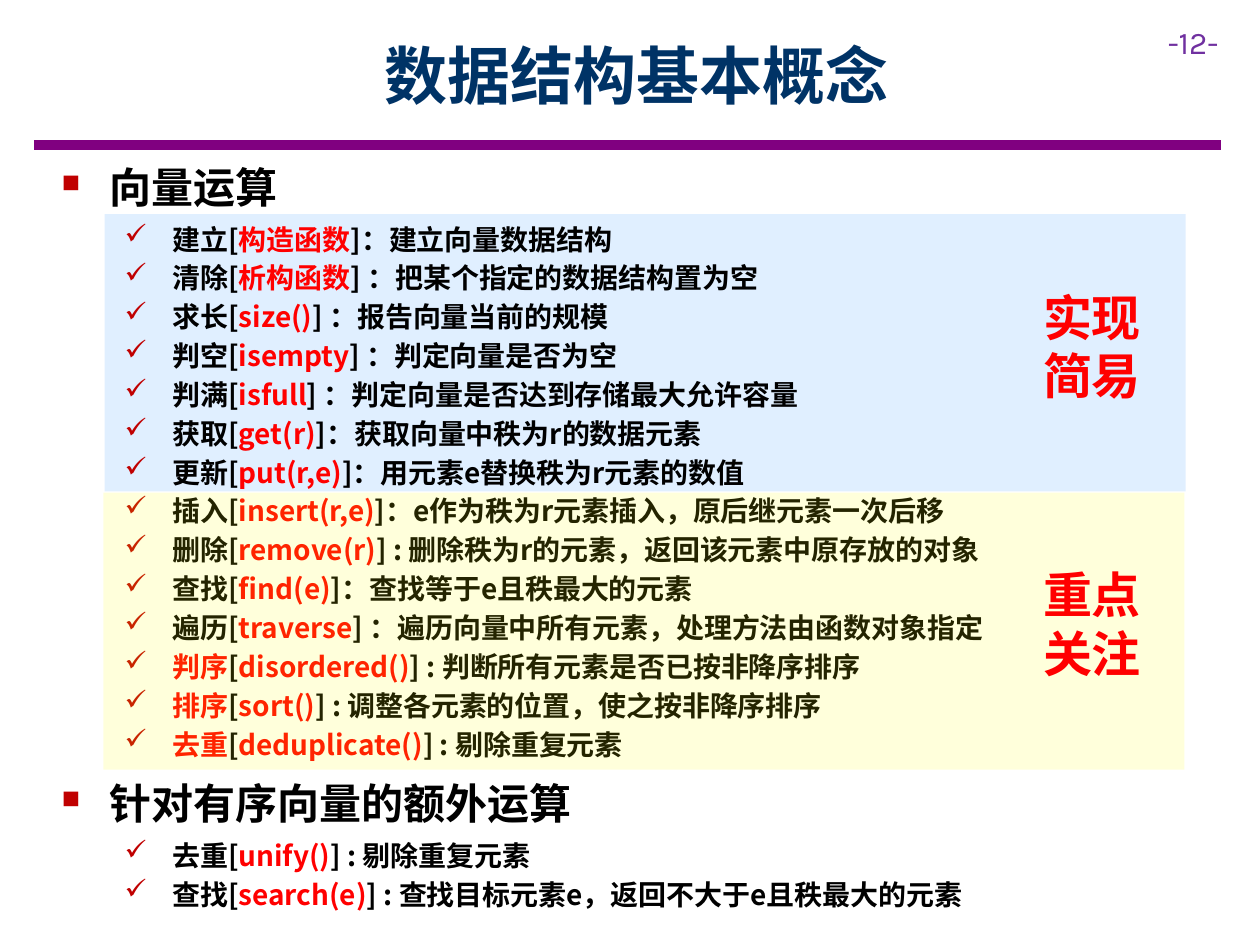
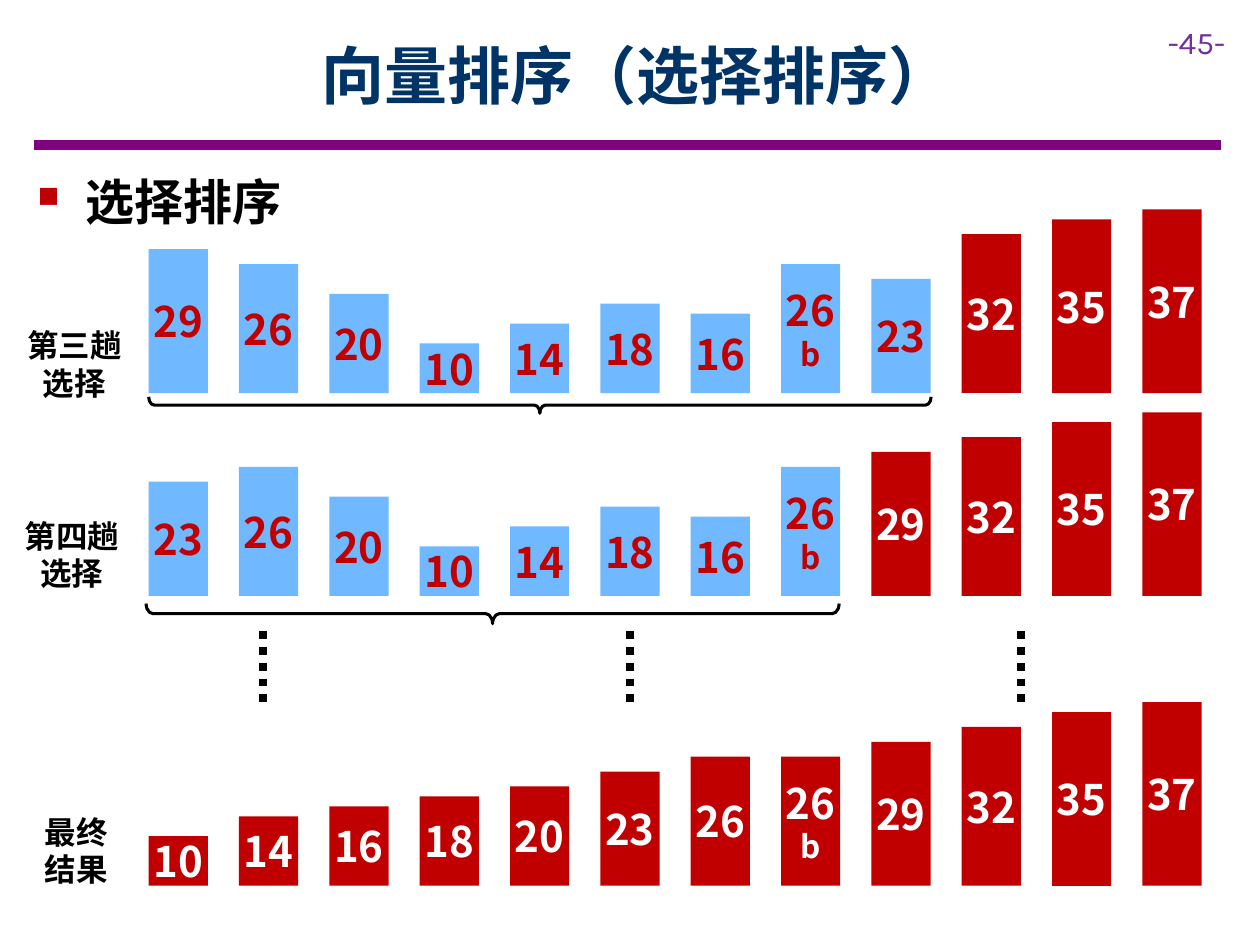
from lxml import etree
from pptx import Presentation
from pptx import util as u
from pptx.dml.color import RGBColor
from pptx.enum import dml, shapes, text
from pptx.oxml.ns import qn

# Shared look
WIDTH, HEIGHT = 10, 7.5
SANS, NUMBER_FONT = "Noto Sans CJK SC", "Karla"
BLACK, WHITE, RED, CRIMSON = "000000", "FFFFFF", "FF0000", "C00000"
NAVY, PURPLE, VIOLET, SKY = "003366", "800080", "7030A0", "70B8FF"
LINE_HEIGHT = 1.2

# Bar grid: one column per value, height in proportion to the value
FIRST_COLUMN, COLUMN_PITCH, BAR_WIDTH = 1.18, 0.717, 0.47
UNIT_HEIGHT = 0.0394

EASY_OPERATIONS = [
    ("建立[", "构造函数", "]：建立向量数据结构"),
    ("清除[", "析构函数", "] ：把某个指定的数据结构置为空"),
    ("求长[", "size()", "] ：报告向量当前的规模"),
    ("判空[", "isempty", "] ：判定向量是否为空"),
    ("判满[", "isfull", "] ：判定向量是否达到存储最大允许容量"),
    ("获取[", "get(r)", "]：获取向量中秩为r的数据元素"),
    ("更新[", "put(r,e)", "]：用元素e替换秩为r元素的数值"),
]
KEY_OPERATIONS = [
    ("插入[", "insert(r,e)", "]：e作为秩为r元素插入，原后继元素一次后移"),
    ("删除[", "remove(r)", "] : 删除秩为r的元素，返回该元素中原存放的对象"),
    ("查找[", "find(e)", "]：查找等于e且秩最大的元素"),
    ("遍历[", "traverse", "] ：遍历向量中所有元素，处理方法由函数对象指定"),
    # An empty lead marks an operation whose name is red as well
    ("", "判序", "[", "disordered()", "] : 判断所有元素是否已按非降序排序"),
    ("", "排序", "[", "sort()", "] : 调整各元素的位置，使之按非降序排序"),
    ("", "去重", "[", "deduplicate()", "] : 剔除重复元素"),
]
SORTED_VECTOR_OPERATIONS = [
    ("去重[", "unify()", "] : 剔除重复元素"),
    ("查找[", "search(e)", "] : 查找目标元素e，返回不大于e且秩最大的元素"),
]

# Bars of each pass: values, number still unsorted, baseline
THIRD_PASS = ["29", "26", "20", "10", "14", "18", "16", "26b", "23", "32", "35", "37"]
FOURTH_PASS = ["23", "26", "20", "10", "14", "18", "16", "26b", "29", "32", "35", "37"]
RESULT = ["10", "14", "16", "18", "20", "23", "26", "26b", "29", "32", "35", "37"]
PASSES = [
    (THIRD_PASS, 9, 3.12),
    (FOURTH_PASS, 8, 4.73),
    (RESULT, 0, 7.03),
]


def rgb(value):
    return RGBColor.from_string(value)


def place(left, top, width, height):
    return [u.Inches(length) for length in (left, top, width, height)]


def style(para, size, color, font=SANS, bold=True, align=None):
    """Set the font and line height of a whole paragraph."""
    para.font.size = u.Pt(size)
    para.font.bold = bold
    para.font.color.rgb = rgb(color)
    para.font.name = font
    para.line_spacing = u.Pt(round(size * LINE_HEIGHT, 1))
    para.alignment = align
    defaults = para._p.pPr.find(qn("a:defRPr"))
    etree.SubElement(defaults, qn("a:ea"), typeface=font)


def add_bullet(para, char, percent, margin, after):
    """Hang a crimson bullet before the paragraph."""
    para.space_after = u.Pt(after)
    props = para._p.pPr
    props.set("marL", str(u.Inches(margin)))
    props.set("indent", str(u.Inches(-0.38)))
    color = etree.Element(qn("a:buClr"))
    etree.SubElement(color, qn("a:srgbClr"), val=CRIMSON)
    size = etree.Element(qn("a:buSzPct"), val=str(percent * 1000))
    mark = etree.Element(qn("a:buChar"), char=char)
    for item in (color, size, mark):
        props.find(qn("a:defRPr")).addprevious(item)


def write_lines(frame, lines, color, align=None):
    """Fill a frame with (words, size) lines."""
    for index, (words, size) in enumerate(lines):
        para = frame.paragraphs[0] if index == 0 else frame.add_paragraph()
        para.text = words
        style(para, size, color, align=align)


def add_text(page, at, lines, color, align=None, wrap=True):
    frame = page.shapes.add_textbox(*place(*at)).text_frame
    frame.word_wrap = wrap
    write_lines(frame, lines, color, align)
    return frame


def add_box(page, at, fill, opacity=100):
    box = page.shapes.add_shape(shapes.MSO_SHAPE.RECTANGLE, *place(*at))
    box.shadow.inherit = False
    box.line.fill.background()
    box.fill.solid()
    box.fill.fore_color.rgb = rgb(fill)
    if opacity < 100:
        tint = box.fill._xPr.find(".//" + qn("a:srgbClr"))
        etree.SubElement(tint, qn("a:alpha"), val=str(opacity * 1000))
    return box


def add_line(page, start, end, color, width, dash=None):
    ends = [u.Inches(length) for length in (*start, *end)]
    line = page.shapes.add_connector(shapes.MSO_CONNECTOR.STRAIGHT, *ends)
    line.line.color.rgb = rgb(color)
    line.line.width = u.Pt(width)
    if dash:
        line.line.dash_style = dash
    etree.SubElement(line._element.spPr, qn("a:effectLst"))


def add_heading(frame, words, size):
    para = frame.paragraphs[0]
    para.text = words
    style(para, size, BLACK)
    add_bullet(para, "■", 60, 0.38, 6)


def add_operations(frame, operations):
    """List operations; every second part of a line is red."""
    for parts in operations:
        para = frame.add_paragraph()
        style(para, 16, BLACK)
        add_bullet(para, "✓", 100, 0.88, 3)
        for index, part in enumerate(parts):
            if part:
                span = para.add_run()
                span.text = part
                span.font.color.rgb = rgb(RED if index % 2 else BLACK)


def add_bar(page, column, label, baseline, done):
    """Draw one value as a bar; a trailing letter goes on its own line."""
    number, letter = label[:2], label[2:]
    height = int(number) * UNIT_HEIGHT
    left = FIRST_COLUMN + column * COLUMN_PITCH
    bar = add_box(page, (left, baseline - height, BAR_WIDTH, height),
                  CRIMSON if done else SKY)
    frame = bar.text_frame
    frame.margin_left = frame.margin_right = 0
    frame.margin_top = frame.margin_bottom = u.Inches(0.1)
    frame.vertical_anchor = text.MSO_ANCHOR.MIDDLE
    lines = [(number, 24)] + ([(letter, 18)] if letter else [])
    write_lines(frame, lines, WHITE if done else CRIMSON, text.PP_ALIGN.CENTER)


def add_brace(page, left, top, width, depth):
    """Draw a brace that opens upwards under a run of bars."""
    across, down = left + width / 2, top + depth / 2
    brace = page.shapes.add_shape(
        shapes.MSO_SHAPE.LEFT_BRACE,
        *place(across - depth / 2, down - width / 2, depth, width))
    brace.rotation = 270
    brace.adjustments[0] = 0.34
    brace.shadow.inherit = False
    brace.fill.solid()
    brace.fill.fore_color.rgb = rgb(WHITE)
    brace.line.color.rgb = rgb(BLACK)
    brace.line.width = u.Pt(1.75)


def add_page(deck, title, number):
    """Start a slide with its rule, page number and title."""
    page = deck.slides.add_slide(deck.slide_layouts[6])
    add_line(page, (0.27, 1.15), (9.69, 1.15), PURPLE, 6)
    corner = add_text(page, (9.17, 0.13, 0.83, 0.4), [(f"-{number}-", 18)], VIOLET)
    style(corner.paragraphs[0], 18, VIOLET, NUMBER_FONT, bold=False)
    frame = add_text(page, (0.9, 0.09, 8.31, 1), [(title, 36)], NAVY,
                     text.PP_ALIGN.CENTER)
    frame.vertical_anchor = text.MSO_ANCHOR.MIDDLE
    return page


def build_concepts(deck):
    page = add_page(deck, "数据结构基本概念", 12)
    # Operations over two tinted bands
    add_box(page, (0.83, 1.7, 8.58, 2.2), "99CCFF", 30)
    frame = add_text(page, (0.39, 1.23, 9.61, 4.91), [("", 24)], BLACK)
    add_heading(frame, "向量运算", 24)
    add_operations(frame, EASY_OPERATIONS + KEY_OPERATIONS)
    add_box(page, (0.82, 3.91, 8.58, 2.2), "FFFF00", 14)
    # Extra operations of sorted vectors
    frame = add_box(page, (0.39, 6.12, 9.61, 1.17), WHITE).text_frame
    frame.vertical_anchor = text.MSO_ANCHOR.TOP
    add_heading(frame, "针对有序向量的额外运算", 24)
    add_operations(frame, SORTED_VECTOR_OPERATIONS)
    for para in frame.paragraphs:
        para.alignment = text.PP_ALIGN.LEFT
    # Remarks on the bands
    for words, top in (("实现简易", 2.23), ("重点关注", 4.43)):
        add_text(page, (8.18, top, 1.02, 1.04), [(words, 28)], RED)


def build_selection_sort(deck):
    page = add_page(deck, "向量排序（选择排序）", 45)
    frame = add_text(page, (0.2, 1.31, 9.45, 0.57), [("", 28)], BLACK)
    add_heading(frame, "选择排序", 28)
    # Bars of the passes, with braces under the unsorted part
    add_brace(page, 1.18, 3.15, 6.21, 0.13)
    add_brace(page, 1.16, 4.79, 5.5, 0.16)
    for labels, unsorted, baseline in PASSES:
        for column, label in enumerate(labels):
            add_bar(page, column, label, baseline, column >= unsorted)
    # Passes left out
    for across in (2.09, 5, 8.1):
        add_line(page, (across, 5.01), (across, 5.57), BLACK, 4.5,
                 dml.MSO_LINE.ROUND_DOT)
    # Names of the passes
    for first, second, left, top, width in (
            ("第三趟", "选择", 0.11, 2.54, 0.96),
            ("第四趟", "选择", 0.09, 4.05, 0.96),
            ("最终", "结果", 0.25, 6.4, 0.71)):
        add_text(page, (left, top, width, 0.71), [(first, 18), (second, 18)],
                 BLACK, text.PP_ALIGN.CENTER, wrap=False)


def main():
    deck = Presentation()
    deck.slide_width, deck.slide_height = u.Inches(WIDTH), u.Inches(HEIGHT)
    build_concepts(deck)
    build_selection_sort(deck)
    deck.save("out.pptx")


if __name__ == "__main__":
    main()
